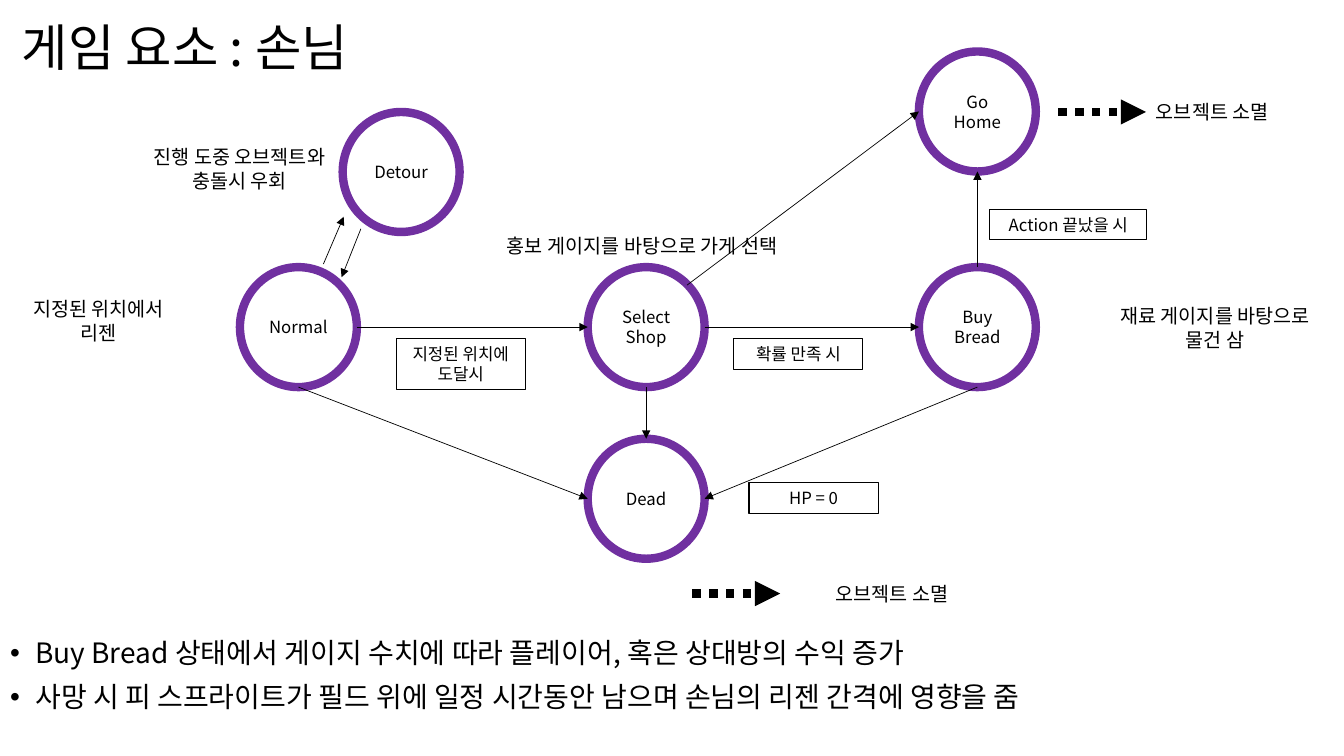
"""Build the slide showing the customer state diagram of a bakery game."""
from lxml import etree
from pptx import Presentation
from pptx.dml.color import RGBColor
from pptx.enum.dml import MSO_LINE
from pptx.enum.shapes import MSO_CONNECTOR, MSO_SHAPE
from pptx.enum.text import MSO_ANCHOR, MSO_AUTO_SIZE, PP_ALIGN
from pptx.oxml.ns import qn
from pptx.util import Pt

FONT = "Noto Sans CJK KR"
BLACK = RGBColor(0x00, 0x00, 0x00)
PURPLE = RGBColor(0x70, 0x30, 0xA0)
STRAIGHT = MSO_CONNECTOR.STRAIGHT
ELLIPSE, RECTANGLE = MSO_SHAPE.OVAL, MSO_SHAPE.RECTANGLE
LEFT, CENTER = PP_ALIGN.LEFT, PP_ALIGN.CENTER
TOP, MIDDLE = MSO_ANCHOR.TOP, MSO_ANCHOR.MIDDLE
FIXED, GROW = MSO_AUTO_SIZE.NONE, MSO_AUTO_SIZE.SHAPE_TO_FIT_TEXT
DOTTED = MSO_LINE.ROUND_DOT

TITLE = "게임 요소 : 손님"
BULLETS = [
    "Buy Bread 상태에서 게이지 수치에 따라 플레이어, 혹은 상대방의 수익 증가",
    "사망 시 피 스프라이트가 필드 위에 일정 시간동안 남으며 손님의 리젠 간격에 영향을 줌",
]

STATE_WIDTH, STATE_HEIGHT = 83.5, 85.7
STATES = {
    "Normal": (171.4, 190.8),
    "Select Shop": (419.8, 190.8),
    "Buy Bread": (656.4, 190.8),
    "Go Home": (656.4, 36.8),
    "Dead": (419.8, 313.4),
    "Detour": (244.8, 80),
}
ANCHORS = {
    "top": (0.5, 0),
    "bottom": (0.5, 1),
    "left": (0, 0.5),
    "right": (1, 0.5),
    "top right": (0.85, 0.15),
}
TRANSITIONS = [
    ("Normal", "right", "Select Shop", "left"),
    ("Select Shop", "right", "Buy Bread", "left"),
    ("Select Shop", "top right", "Go Home", "left"),
    ("Buy Bread", "top", "Go Home", "bottom"),
    ("Normal", "bottom", "Dead", "left"),
    ("Select Shop", "bottom", "Dead", "top"),
    ("Buy Bread", "bottom", "Dead", "right"),
]
DETOUR_ARROWS = [((231, 188.6), (245.5, 154.8)), ((257.8, 163.4), (244, 198))]
REMOVAL_ARROWS = [((494.6, 424), (557.3, 424)), ((756, 80), (818.6, 80))]

CONDITIONS = [
    (["지정된 위치에", "도달시"], (283, 242, 92.2, 36.3)),
    (["확률 만족 시"], (524.2, 242, 92.2, 21.8)),
    (["Action 끝났을 시"], (707, 149.6, 112.3, 21.8)),
    (["HP = 0"], (535, 344.8, 92.2, 21.8)),
]
NOTES = [
    (["지정된 위치에서", "리젠"], (11.5, 208.8, 118, 41.2), CENTER, False),
    (["홍보 게이지를 바탕으로 가게 선택"], (355, 163.4, 231.8, 24.2), LEFT, False),
    (["재료 게이지를 바탕으로 물건 삼"], (782, 213.8, 172, 41.2), CENTER, True),
    (["오브젝트 소멸"], (818.6, 67.7, 104.4, 24.2), LEFT, False),
    (["오브젝트 소멸"], (589.7, 411.8, 104.4, 24.2), LEFT, False),
    (["진행 도중 오브젝트와 충돌시 우회"], (95.8, 100, 150.5, 41.2), CENTER, True),
]


def points(values):
    return [Pt(value) for value in values]


def place(shape, box):
    shape.left, shape.top, shape.width, shape.height = points(box)


def write(shape, lines, size, alignment, anchor, wrap=True, auto_size=FIXED):
    frame = shape.text_frame
    frame.word_wrap = wrap
    frame.auto_size = auto_size
    frame.vertical_anchor = anchor
    for index, line in enumerate(lines):
        paragraph = frame.add_paragraph() if index else frame.paragraphs[0]
        paragraph.alignment = alignment
        run = paragraph.add_run()
        run.text = line
        run.font.size = Pt(size)
        run.font.name = FONT
        run.font.color.rgb = BLACK
        east_asian = etree.SubElement(run.font._element, qn("a:ea"))
        east_asian.set("typeface", FONT)
    return frame


def add_outline(slide, kind, box, color, weight):
    shape = slide.shapes.add_shape(kind, *points(box))
    shape.shadow.inherit = False
    shape.fill.background()
    shape.line.color.rgb = color
    shape.line.width = Pt(weight)
    return shape


def add_arrow(slide, start, end, weight=0.5, dash=None):
    arrow = slide.shapes.add_connector(STRAIGHT, *points(start + end))
    arrow.line.color.rgb = BLACK
    arrow.line.width = Pt(weight)
    if dash:
        arrow.line.dash_style = dash
    properties = arrow._element.spPr
    head = etree.SubElement(properties.find(qn("a:ln")), qn("a:tailEnd"))
    head.set("type", "triangle")
    etree.SubElement(properties, qn("a:effectLst"))


def anchor_point(state, anchor):
    left, top = STATES[state]
    across, down = ANCHORS[anchor]
    return left + across * STATE_WIDTH, top + down * STATE_HEIGHT


def fill_placeholders(slide):
    title, body = slide.placeholders
    place(title, (0, 0, 828, 71.3))
    frame = write(title, [TITLE], 36, LEFT, MIDDLE)
    frame.margin_left = Pt(15.5)
    frame.paragraphs[0].line_spacing = 0.9

    place(body, (0, 452.9, 909.4, 86.4))
    frame = write(body, BULLETS, 20, LEFT, TOP)
    for index, paragraph in enumerate(frame.paragraphs):
        paragraph.line_spacing = 0.9
        paragraph.space_before = Pt(10 if index else 0)
        properties = paragraph._p.get_or_add_pPr()
        properties.set("marL", str(Pt(18)))
        properties.set("indent", str(Pt(-18)))
        etree.SubElement(properties, qn("a:buFont")).set("typeface", "Arial")
        etree.SubElement(properties, qn("a:buChar")).set("char", "•")


def main():
    presentation = Presentation()
    presentation.slide_width, presentation.slide_height = Pt(960), Pt(540)
    slide = presentation.slides.add_slide(presentation.slide_layouts[1])
    fill_placeholders(slide)

    for name, corner in STATES.items():
        box = (*corner, STATE_WIDTH, STATE_HEIGHT)
        state = add_outline(slide, ELLIPSE, box, PURPLE, 6)
        write(state, [name], 12, CENTER, MIDDLE)
    for source, source_anchor, target, target_anchor in TRANSITIONS:
        start = anchor_point(source, source_anchor)
        add_arrow(slide, start, anchor_point(target, target_anchor))
    for start, end in DETOUR_ARROWS:
        add_arrow(slide, start, end)
    for start, end in REMOVAL_ARROWS:
        add_arrow(slide, start, end, 6, DOTTED)
    for lines, box in CONDITIONS:
        condition = add_outline(slide, RECTANGLE, box, BLACK, 0.75)
        write(condition, lines, 12, CENTER, TOP, auto_size=GROW)
    for lines, box, alignment, wrap in NOTES:
        note = slide.shapes.add_textbox(*points(box))
        write(note, lines, 14, alignment, TOP, wrap, GROW)
    presentation.save("out.pptx")


if __name__ == "__main__":
    main()
